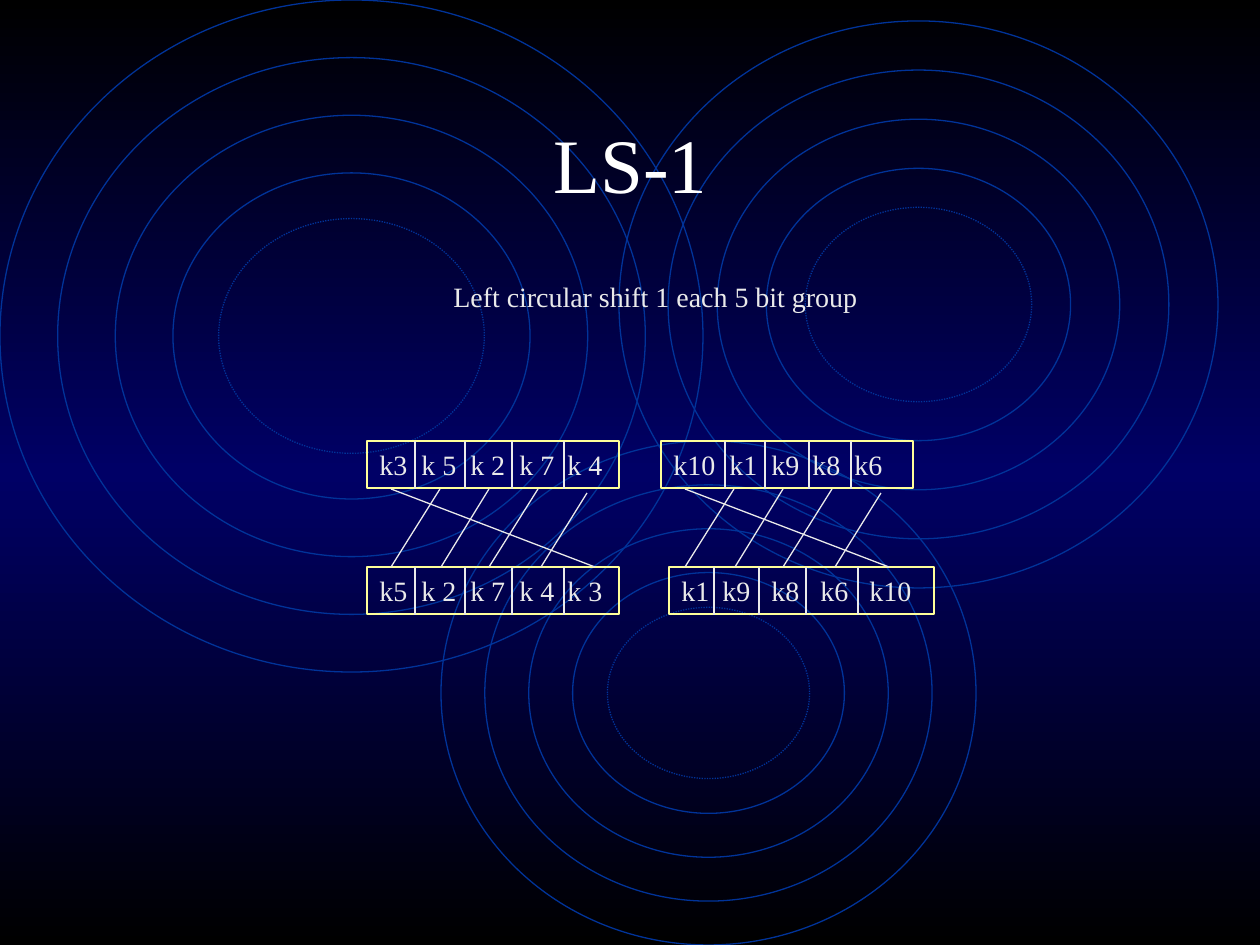
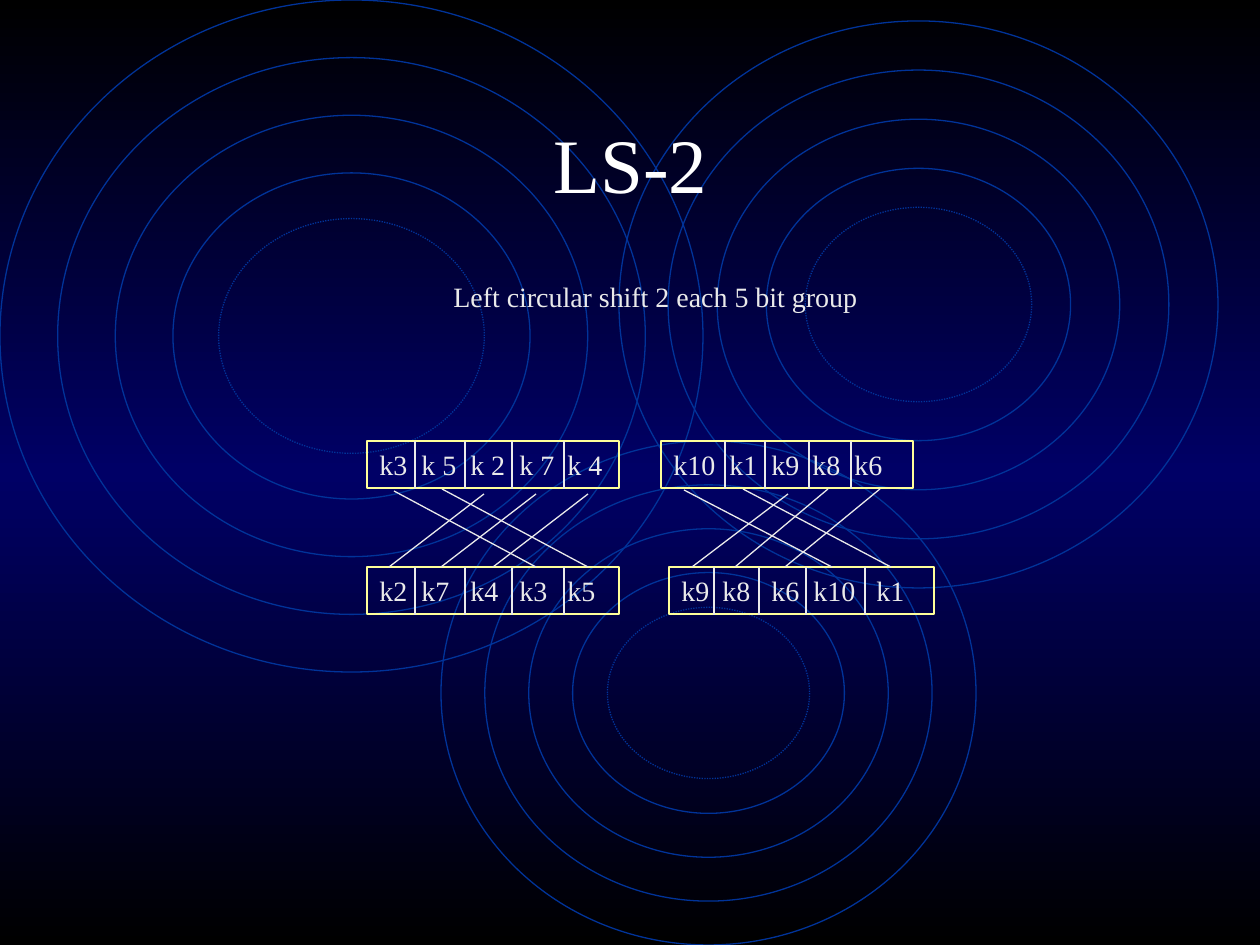
from copy import deepcopy

from lxml.etree import SubElement
from pptx import Presentation
from pptx.dml.color import RGBColor
from pptx.enum.dml import MSO_LINE
from pptx.enum.shapes import MSO_CONNECTOR, MSO_SHAPE
from pptx.enum.text import MSO_ANCHOR, PP_ALIGN
from pptx.oxml.ns import qn
from pptx.util import Emu, Pt

PX = 914400 / 126
FONT = "Times New Roman"
COLORS = {
    "edge": "000000",
    "middle": "000066",
    "ring": "003399",
    "title": "FFFFFF",
    "text": "EAEAEA",
    "frame": "FFFF99",
}

RING_CLUSTERS = [(0, 0, 703, 672), (441, 441, 535, 504), (619, 21, 599, 567)]
RING_INSETS = [0, 0.082, 0.164, 0.246, 0.311]

BEFORE_TOP, AFTER_TOP = 441, 567
ROW_HEIGHT, TEXT_INSET = 47, 13
LEFT_ROW = {
    "left": 367, "width": 252,
    "dividers": [415, 465, 512, 564],
    "starts": [380, 422, 471, 520, 568],
}
RIGHT_ROW = {
    "left": 661, "width": 252,
    "dividers": [725, 765, 809, 851],
    "starts": [674, 730, 772, 813, 855],
}
RIGHT_AFTER_ONE = {
    "left": 669, "width": 265,
    "dividers": [714, 759, 806, 858],
    "starts": [681, 723, 772, 821, 870],
}
RIGHT_AFTER_TWO = {
    "left": 669, "width": 265,
    "dividers": [714, 759, 806, 865],
    "starts": [681, 723, 772, 814, 877],
}
GROUP_OFFSET = RIGHT_ROW["left"] - LEFT_ROW["left"]

LEFT_BITS = ["k3", "k 5", "k 2", "k 7", "k 4"]
RIGHT_BITS = ["k10", "k1", "k9", "k8", "k6"]

ONE_MOVES = [(440, 489, 391), (489, 489, 441), (538, 489, 489),
             (587, 493, 541), (391, 489, 595)]
TWO_LEFT_MOVES = [(484, 494, 389), (536, 494, 441), (588, 494, 493),
                  (394, 491, 536), (442, 489, 588)]
TWO_RIGHT_MOVES = [(788, 494, 692), (828, 489, 735), (880, 489, 785),
                   (684, 490, 832), (743, 489, 891)]

SHIFTS = [
    {
        "amount": 1,
        "left_after": ["k5", "k 2", "k 7", "k 4", "k 3"],
        "right_after": ["k1", "k9", "k8", "k6", "k10"],
        "right_row": RIGHT_AFTER_ONE,
        "moves": ONE_MOVES + [(start + GROUP_OFFSET, top, end + GROUP_OFFSET)
                              for start, top, end in ONE_MOVES],
    },
    {
        "amount": 2,
        "left_after": ["k2", "k7", "k4", "k3", "k5"],
        "right_after": ["k9", "k8", "k6", "k10", "k1"],
        "right_row": RIGHT_AFTER_TWO,
        "moves": TWO_LEFT_MOVES + TWO_RIGHT_MOVES,
    },
]


def px(length):
    """Turn pixels into EMU."""
    return Emu(round(length * PX))


def color(name):
    """Look up a named colour."""
    return RGBColor.from_string(COLORS[name])


def set_line(line, name):
    """Give an outline its colour and the common width."""
    line.color.rgb = color(name)
    line.width = Pt(0.75)


def set_background(master):
    """Paint the vertical three-stop gradient behind every slide."""
    fill = master.background.fill
    fill.gradient()
    fill.gradient_angle = 90
    stop_list = master.element.find(".//" + qn("a:gsLst"))
    stop_list.append(deepcopy(stop_list[-1]))
    for stop, position, name in zip(fill.gradient_stops, (0, 0.5, 1),
                                    ("edge", "middle", "edge")):
        stop.position = position
        stop.color.rgb = color(name)


def add_rings(page):
    """Draw the clusters of concentric rings, the innermost one dotted."""
    group = page.shapes.add_group_shape()
    for left, top, width, height in RING_CLUSTERS:
        for fraction in RING_INSETS:
            inset = fraction * width
            ring = group.shapes.add_shape(
                MSO_SHAPE.OVAL, px(left + inset), px(top + inset),
                px(width - 2 * inset), px(height - 2 * inset))
            ring.shadow.inherit = False
            ring.fill.background()
            set_line(ring.line, "ring")
            if fraction == RING_INSETS[-1]:
                ring.line.dash_style = MSO_LINE.ROUND_DOT


def write(box, text, size, name, align=PP_ALIGN.LEFT, anchor=MSO_ANCHOR.TOP):
    """Fill a box with one formatted paragraph and return the paragraph."""
    frame = box.text_frame
    frame.word_wrap = True
    frame.vertical_anchor = anchor
    frame.text = text
    para = frame.paragraphs[0]
    para.alignment = align
    for span in para.runs:
        span.font.name = FONT
        span.font.size = Pt(size)
        span.font.color.rgb = color(name)
    return para


def add_text(page, place, *content, **layout):
    """Add a text box at a place given in px."""
    box = page.shapes.add_textbox(*map(px, place))
    write(box, *content, **layout)


def add_line(page, *ends):
    """Add a thin straight line between two points."""
    line = page.shapes.add_connector(MSO_CONNECTOR.STRAIGHT, *map(px, ends))
    set_line(line.line, "text")
    SubElement(line.element.spPr, qn("a:effectLst"))


def add_bit_row(page, row, top, bits):
    """Add a framed row of bits, aligned by tab stops and split by lines."""
    box = page.shapes.add_shape(MSO_SHAPE.RECTANGLE, px(row["left"]), px(top),
                                px(row["width"]), px(ROW_HEIGHT))
    box.shadow.inherit = False
    box.fill.background()
    set_line(box.line, "frame")
    para = write(box, "\t".join(bits), 16, "text")
    tabs = SubElement(para._p.get_or_add_pPr(), qn("a:tabLst"))
    for start in row["starts"][1:]:
        position = px(start - row["left"] - TEXT_INSET)
        SubElement(tabs, qn("a:tab"), pos=str(position), algn="l")
    for x in row["dividers"]:
        add_line(page, x, top, x, top + ROW_HEIGHT + 1)


def add_shift_page(deck, shift):
    """Add a slide showing one circular shift of both bit groups."""
    page = deck.slides.add_slide(deck.slide_layouts[6])
    amount = shift["amount"]
    add_rings(page)
    add_text(page, (95, 84, 1071, 158), f"LS-{amount}", 44, "title",
             align=PP_ALIGN.CENTER, anchor=MSO_ANCHOR.MIDDLE)
    add_text(page, (441, 273, 441, 47),
             f"Left circular shift {amount} each 5 bit group", 16, "text")
    add_bit_row(page, LEFT_ROW, BEFORE_TOP, LEFT_BITS)
    add_bit_row(page, LEFT_ROW, AFTER_TOP, shift["left_after"])
    add_bit_row(page, RIGHT_ROW, BEFORE_TOP, RIGHT_BITS)
    add_bit_row(page, shift["right_row"], AFTER_TOP, shift["right_after"])
    for start, top, end in shift["moves"]:
        add_line(page, start, top, end, AFTER_TOP)


def main():
    """Build and save the deck."""
    deck = Presentation()
    deck.slide_width, deck.slide_height = px(1260), px(945)
    set_background(deck.slide_master)
    for shift in SHIFTS:
        add_shift_page(deck, shift)
    deck.save("out.pptx")


if __name__ == "__main__":
    main()
